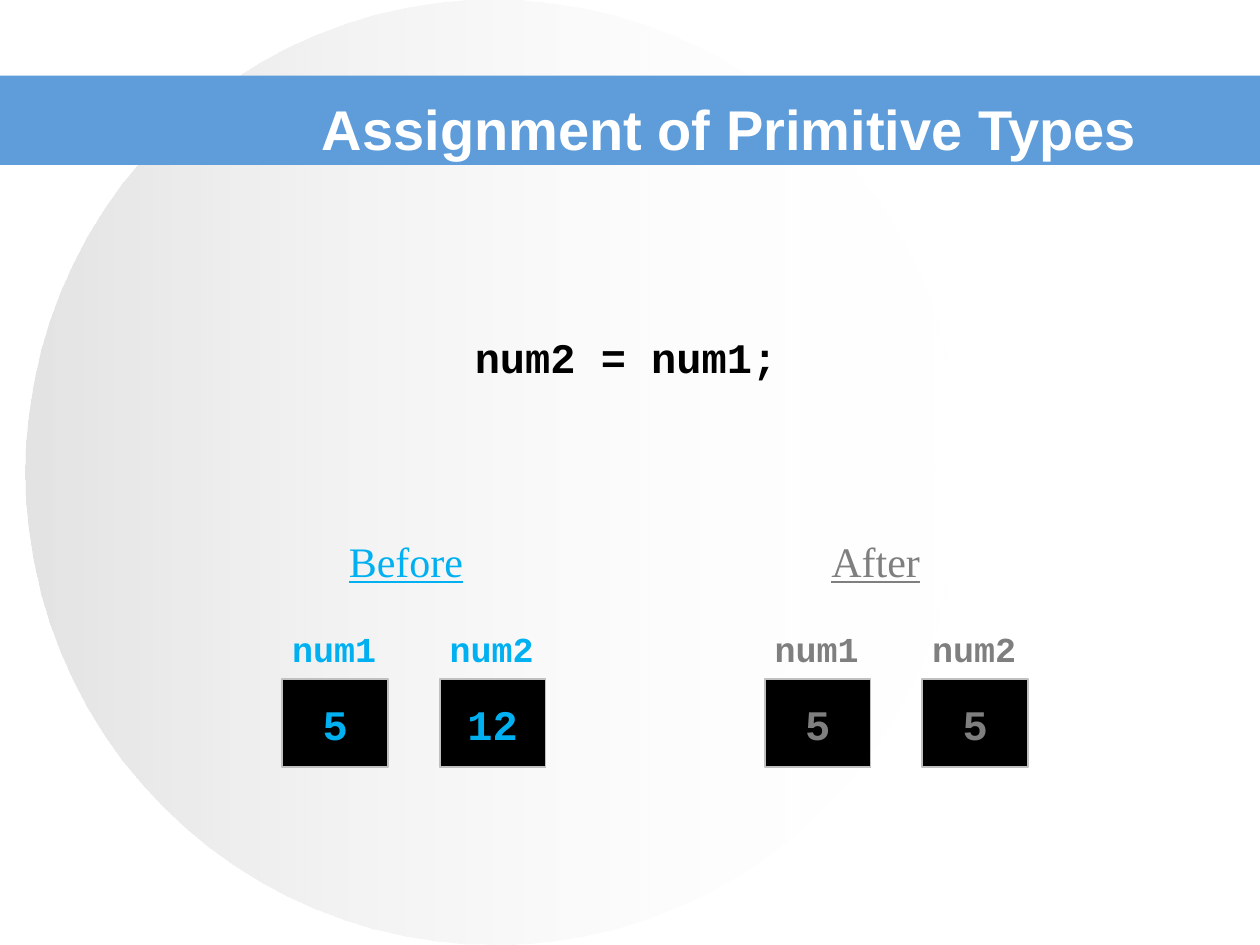
from lxml.etree import SubElement
from pptx import Presentation
from pptx.dml.color import RGBColor
from pptx.enum.shapes import MSO_SHAPE as Shape
from pptx.enum.text import MSO_ANCHOR as Anchor, MSO_AUTO_SIZE as AutoSize, PP_ALIGN as Align
from pptx.oxml.ns import qn
from pptx.util import Inches, Pt

WHITE = RGBColor(0xFF, 0xFF, 0xFF)
BLACK = RGBColor(0x00, 0x00, 0x00)
SILVER = RGBColor(0xC0, 0xC0, 0xC0)
BAND_BLUE = RGBColor(0x5E, 0x9C, 0xDA)
CYAN = RGBColor(0x00, 0xB0, 0xF0)
GRAY = RGBColor(0x7F, 0x7F, 0x7F)

TITLE = {"name": "Arial", "size": Pt(32), "bold": True}
HEADING = {"name": "Times New Roman", "size": Pt(24), "underline": True}
LABEL = {"name": "Courier New", "size": Pt(20), "bold": True}
CODE = {"name": "Courier New", "size": Pt(24), "bold": True}


def write(shape, text, style, color, align=Align.LEFT, anchor=Anchor.TOP, wrap=False):
    frame = shape.text_frame
    frame.word_wrap = wrap
    frame.vertical_anchor = anchor
    para = frame.paragraphs[0]
    para.alignment = align
    span = para.add_run()
    span.text = text
    for name, value in style.items():
        setattr(span.font, name, value)
    span.font.color.rgb = color


def add_text(shapes, box, text, style, color, **layout):
    text_box = shapes.add_textbox(*map(Inches, box))
    write(text_box, text, style, color, **layout)
    text_box.text_frame.auto_size = AutoSize.SHAPE_TO_FIT_TEXT


def add_plain_shape(shapes, kind, box):
    shape = shapes.add_shape(kind, *map(Inches, box))
    shape.shadow.inherit = False
    shape.line.fill.background()
    return shape


def draw_backdrop(shapes, circle_box, band_box):
    """Fading circle with the title band across it."""
    circle = add_plain_shape(shapes, Shape.OVAL, circle_box)
    circle.fill.gradient()
    circle.fill.gradient_angle = 0
    for stop, color in zip(circle.fill.gradient_stops, (SILVER, WHITE)):
        stop.color.rgb = color
    colors = circle.fill._xPr.iter(qn("a:srgbClr"))
    for color, alpha in zip(colors, (44000, 0)):
        SubElement(color, qn("a:alpha"), val=str(alpha))
    band = add_plain_shape(shapes, Shape.RECTANGLE, band_box)
    band.fill.solid()
    band.fill.fore_color.rgb = BAND_BLUE


def draw_variable(shapes, left, top, name, value, color):
    add_text(shapes, (left, top, 0.87, 0.43), name, LABEL, color)
    cell = add_plain_shape(shapes, Shape.RECTANGLE, (left + 0.02, top + 0.46, 0.84, 0.7))
    cell.fill.solid()
    cell.fill.fore_color.rgb = BLACK
    cell.line.color.rgb = SILVER
    cell.line.width = Pt(1)
    write(cell, value, CODE, color, align=Align.CENTER, anchor=Anchor.MIDDLE)


def draw_state(page, left, top, heading, heading_width, values, color):
    """Heading over the two variables and their values."""
    shapes = page.shapes.add_group_shape().shapes
    add_text(shapes, (left + 0.45, top, heading_width, 0.5), heading, HEADING, color)
    for index, value in enumerate(values):
        draw_variable(shapes, left + index * 1.25, top + 0.73,
                      f"num{index + 1}", value, color)


def main():
    deck = Presentation()
    deck.slide_width, deck.slide_height = Inches(10), Inches(7.5)
    page = deck.slides.add_slide(deck.slide_layouts[6])
    draw_backdrop(page.shapes, (0.2, 0, 7.44, 7.5), (0, 0.6, 10, 0.71))
    add_text(page.shapes, (2.25, 0.75, 7.08, 0.53), "Assignment of Primitive Types",
             TITLE, WHITE, align=Align.CENTER, anchor=Anchor.MIDDLE, wrap=True)
    draw_state(page, 2.22, 4.2, "Before", 1.11, ("5", "12"), CYAN)
    draw_state(page, 6.05, 4.2, "After", 0.91, ("5", "5"), GRAY)
    add_text(page.shapes, (3.67, 2.58, 2.6, 0.5), "num2 = num1;", CODE, BLACK, wrap=True)
    deck.save("out.pptx")


if __name__ == "__main__":
    main()
